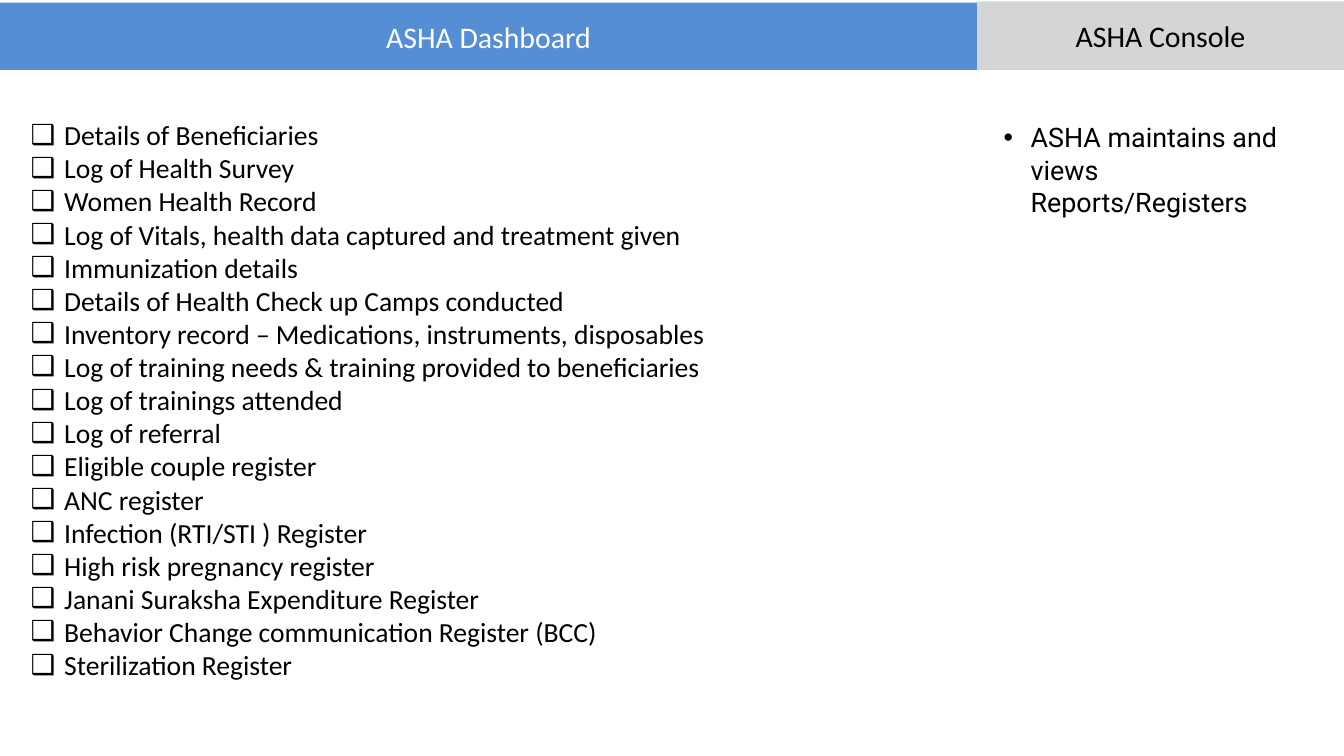
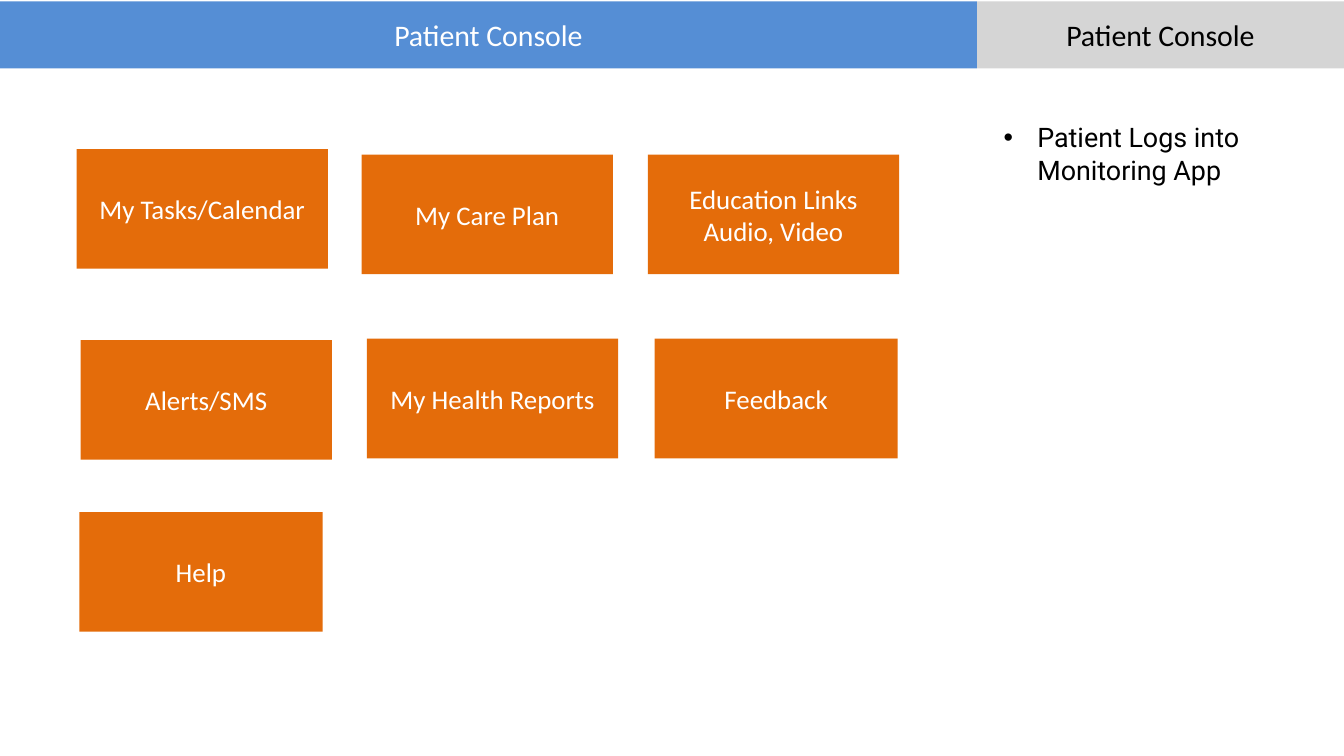
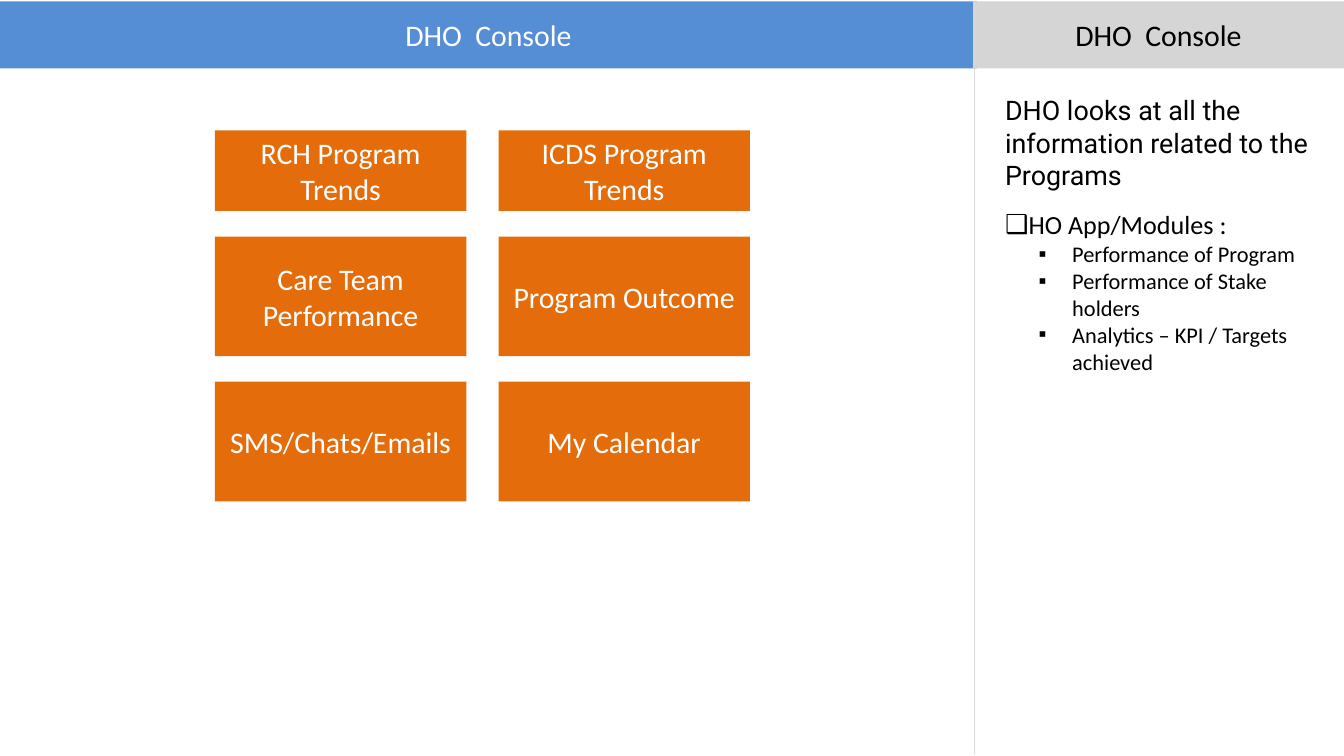
from dataclasses import dataclass
from itertools import product

from lxml.etree import SubElement
from pptx import Presentation
from pptx.dml.color import RGBColor
from pptx.enum.shapes import MSO_CONNECTOR, MSO_SHAPE
from pptx.enum.text import MSO_ANCHOR, MSO_AUTO_SIZE, PP_ALIGN
from pptx.oxml.ns import qn
from pptx.util import Inches, Pt


@dataclass(frozen=True)
class Theme:
    white: str = "FFFFFF"
    black: str = "000000"
    blue: str = "558ED5"
    grey: str = "D5D5D5"
    rule: str = "D9D9D9"
    orange: str = "E46C0A"
    sans: str = "Calibri"
    note: str = "Roboto"
    mark: str = "Arial"
    head: float = 16
    list: float = 14.8
    body: float = 14.4
    topic: float = 14
    sub: float = 12


@dataclass(frozen=True)
class Para:
    text: str
    size: float
    font: str
    bullet: str = ""
    left: float = 0
    hang: float = 0
    after: float = 0
    level: int = 0


WIDE = 10
HIGH = WIDE * 9 / 16
SPLIT, TOP, BAND = 7.27, 0.01, 0.5
TILE_W, TILE_H = 1.87, 0.89

RECORDS = [
    "Details of Beneficiaries",
    "Log of Health Survey",
    "Women Health Record",
    "Log of Vitals, health data captured and treatment given",
    "Immunization details",
    "Details of Health Check up Camps conducted",
    "Inventory record – Medications, instruments, disposables",
    "Log of training needs & training provided to beneficiaries",
    "Log of trainings attended",
    "Log of referral",
    "Eligible couple register",
    "ANC register",
    "Infection (RTI/STI ) Register",
    "High risk pregnancy register",
    "Janani Suraksha Expenditure Register",
    "Behavior Change communication Register (BCC)",
    "Sterilization Register",
]

PATIENT_TILES = [
    ("Alerts/SMS", 0.6, 2.53, TILE_W),
    ("Education Links Audio, Video", 4.82, 1.15, TILE_W),
    ("My Tasks/Calendar", 0.57, 1.11, TILE_W),
    ("My Care Plan", 2.69, 1.15, TILE_W),
    ("My Health Reports", 2.73, 2.52, TILE_W),
    ("Help", 0.59, 3.81, 1.81),
    ("Feedback", 4.87, 2.52, 1.81),
]

DHO_TILES = [
    "RCH Program Trends", "ICDS Program Trends",
    "Care Team Performance", "Program Outcome",
    "SMS/Chats/Emails", "My Calendar",
]
DHO_ROWS = [(0.97, 0.6), (1.76, TILE_H), (2.84, TILE_H)]
DHO_COLS = [1.6, 3.71]

DHO_PARTS = [
    "Performance of Program",
    "Performance of Stake holders",
    "Analytics – KPI / Targets achieved",
]


class Deck:
    def __init__(self, theme):
        self.theme = theme
        self.prs = Presentation()
        self.prs.slide_width = Inches(WIDE)
        self.prs.slide_height = Inches(HIGH)
        self.slide = None

    def start(self):
        self.slide = self.prs.slides.add_slide(self.prs.slide_layouts[6])

    def style(self, para, size, color, font):
        for run in para.runs:
            run.font.size = Pt(size)
            run.font.name = font
            run.font.color.rgb = RGBColor.from_string(color)

    def block(self, left, top, width, height, fill, text="", size=0, color=""):
        box = self.slide.shapes.add_shape(
            MSO_SHAPE.RECTANGLE,
            Inches(left), Inches(top), Inches(width), Inches(height))
        box.shadow.inherit = False
        box.fill.solid()
        box.fill.fore_color.rgb = RGBColor.from_string(fill)
        box.line.fill.background()
        if text:
            frame = box.text_frame
            frame.text = text
            frame.word_wrap = True
            frame.vertical_anchor = MSO_ANCHOR.MIDDLE
            para = frame.paragraphs[0]
            para.alignment = PP_ALIGN.CENTER
            self.style(para, size, color, self.theme.sans)

    def tile(self, text, left, top, width, height, size):
        self.block(left, top, width, height, self.theme.orange,
                   text, size, self.theme.white)

    def line(self, x1, y1, x2, y2, color):
        line = self.slide.shapes.add_connector(
            MSO_CONNECTOR.STRAIGHT,
            Inches(x1), Inches(y1), Inches(x2), Inches(y2))
        line.line.color.rgb = RGBColor.from_string(color)
        line.line.width = Pt(0.75)
        SubElement(line._element.spPr, qn("a:effectLst"))

    def panel(self):
        """Lay the plain side panel and the rule across the main area."""
        self.block(SPLIT, TOP, WIDE - SPLIT, 5.6, self.theme.white)
        self.line(0, 2.48, SPLIT, 2.48, self.theme.white)

    def bands(self, main, side, split=SPLIT, top=TOP):
        look = self.theme
        self.block(0, top, SPLIT, BAND, look.blue, main, look.head, look.white)
        self.block(split, TOP, WIDE - split, BAND + top - TOP, look.grey,
                   side, look.head, look.black)

    def copy(self, left, top, width, height, items):
        box = self.slide.shapes.add_textbox(
            Inches(left), Inches(top), Inches(width), Inches(height))
        frame = box.text_frame
        frame.word_wrap = True
        frame.auto_size = MSO_AUTO_SIZE.SHAPE_TO_FIT_TEXT
        frame.text = "\n".join(item.text for item in items)
        for para, item in zip(frame.paragraphs, items):
            para.level = item.level
            para.space_after = Pt(item.after)
            props = para._p.get_or_add_pPr()
            props.set("marL", str(Inches(item.left)))
            props.set("indent", str(Inches(-item.hang)))
            if item.bullet:
                SubElement(props, qn("a:buFont")).set(
                    "typeface", self.theme.mark)
                SubElement(props, qn("a:buChar")).set("char", item.bullet)
            self.style(para, item.size, self.theme.black, item.font)


def asha(deck):
    look = deck.theme
    deck.start()
    deck.panel()
    deck.copy(7.37, 0.85, 2.53, 0.59, [
        Para("ASHA maintains and views Reports/Registers",
             look.body, look.note, "•", 0.2, 0.2, 9.6)])
    deck.bands("ASHA Dashboard", "ASHA Console", top=0.02)
    deck.copy(0.13, 0.83, 7.23, 4.34, [
        Para(text, look.list, look.sans, "❑", 0.25, 0.25)
        for text in RECORDS])


def patient(deck):
    look = deck.theme
    deck.start()
    deck.panel()
    deck.copy(7.37, 0.85, 2.53, 0.59, [
        Para("Patient Logs into Monitoring App",
             look.body, look.note, "•", 0.25, 0.25, 4.8)])
    deck.bands("Patient Console", "Patient Console")
    for text, left, top, width in PATIENT_TILES:
        deck.tile(text, left, top, width, TILE_H, look.body)


def dho(deck):
    look = deck.theme
    deck.start()
    deck.bands("DHO  Console", "DHO  Console", split=7.24)
    for text, ((top, height), left) in zip(
            DHO_TILES, product(DHO_ROWS, DHO_COLS)):
        deck.tile(text, left, top, TILE_W, height, look.head)
    deck.copy(7.38, 0.65, 2.53, 2.71, [
        Para("DHO looks at all the information related to the Programs",
             look.body, look.note, after=9.6),
        Para("HO App/Modules :", look.topic, look.sans, "❑"),
        *(Para(text, look.sub, look.sans, "▪", 0.5, 0.25, level=1)
          for text in DHO_PARTS)])
    deck.line(7.25, TOP, 7.25, 5.61, look.rule)


def main():
    deck = Deck(Theme())
    for build in (asha, patient, dho):
        build(deck)
    deck.prs.save("out.pptx")


if __name__ == "__main__":
    main()
